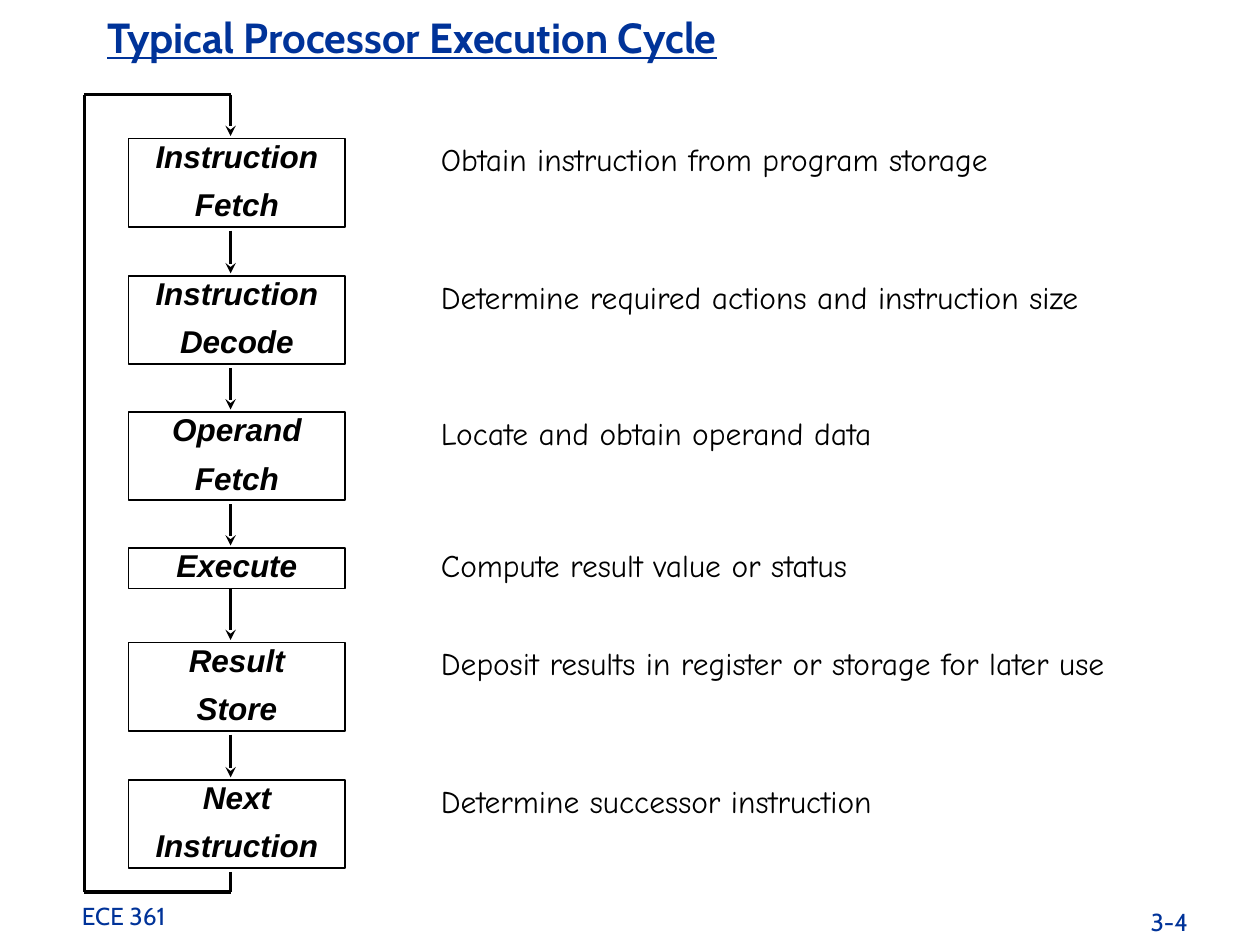
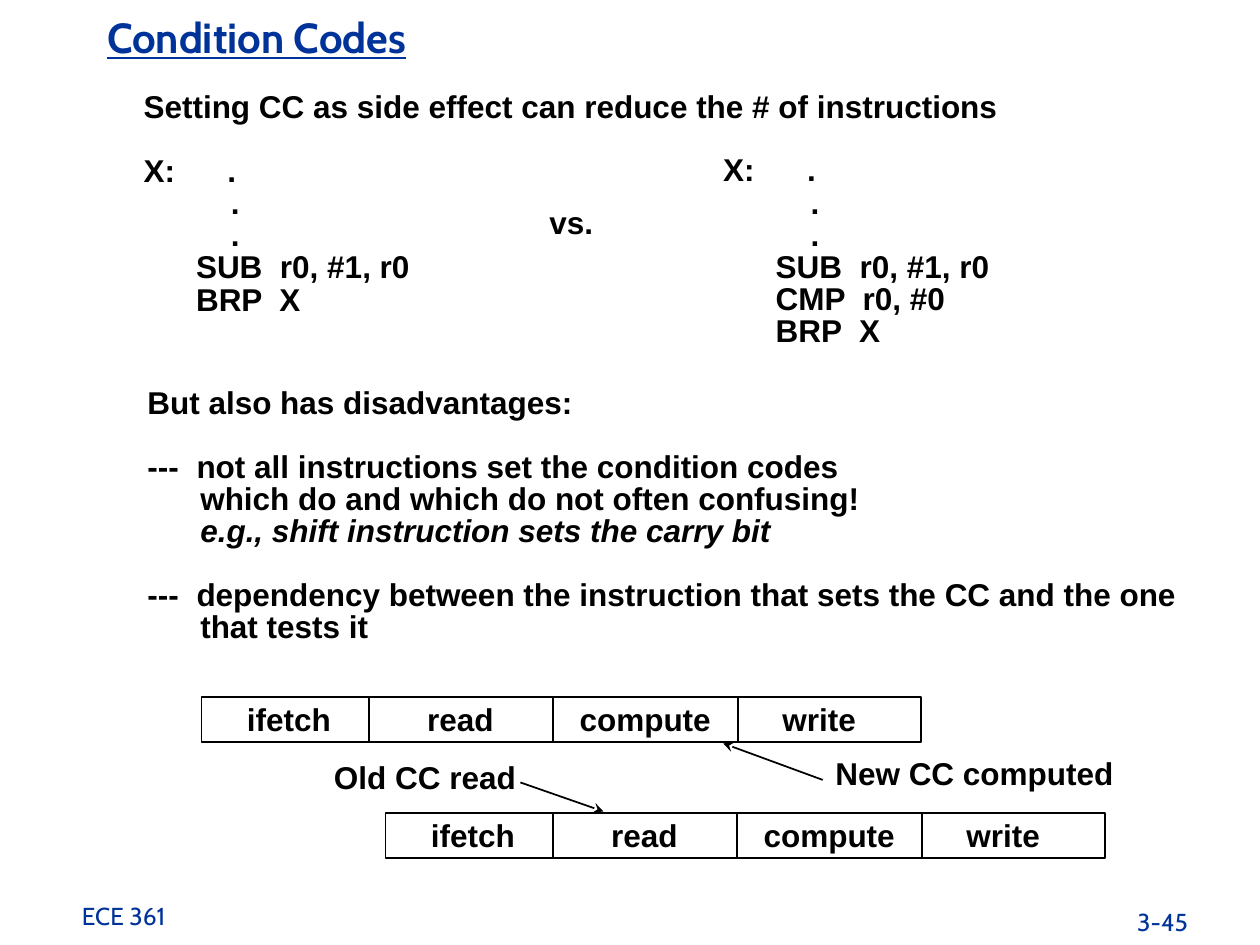
from itertools import pairwise

from lxml.etree import SubElement
from pptx import Presentation
from pptx.dml.color import RGBColor
from pptx.enum.shapes import MSO_CONNECTOR as Connector, MSO_SHAPE as Shape
from pptx.enum.text import MSO_ANCHOR as Anchor, MSO_AUTO_SIZE as AutoSize, PP_ALIGN as Align
from pptx.oxml.ns import qn
from pptx.util import Inches, Pt

BLUE = RGBColor(0x00, 0x33, 0x99)
BLACK = RGBColor(0x00, 0x00, 0x00)
TITLE_FONT, BODY_FONT, NOTE_FONT = "Cabin", "Arial", "Comic Neue"
COLUMNS, ROWS = 10, 7.5
LINE_GAP = Pt(18)


class Page:
    def __init__(self, deck, title, title_width, number):
        self.column = deck.slide_width / COLUMNS
        self.row = deck.slide_height / ROWS
        self.slide = deck.slides.add_slide(deck.slide_layouts[5])
        self.title(title, title_width)
        self.text(["ECE 361"], 0.58, 7.08, 2.67, 0.33, TITLE_FONT, 14, BLUE, spacing=1.18)
        self.text([number], 8.67, 7.13, 0.83, 0.37, TITLE_FONT, 14, BLUE,
                  spacing=1.18, align=Align.RIGHT)

    def x(self, columns):
        return round(columns * self.column)

    def y(self, rows):
        return round(rows * self.row)

    def area(self, left, top, width, height):
        return self.x(left), self.y(top), self.x(width), self.y(height)

    def set_lines(self, box, lines, font=BODY_FONT, size=18, color=BLACK, bold=False,
                  italic=False, underline=False, spacing=0.85, align=Align.LEFT, before=0):
        frame = box.text_frame
        frame.text = "\n".join(lines)
        frame.word_wrap = True
        frame.auto_size = AutoSize.NONE
        frame.vertical_anchor = Anchor.TOP
        frame.margin_left = frame.margin_right = self.x(0.07)
        frame.margin_top = frame.margin_bottom = self.y(0.03)
        for index, para in enumerate(frame.paragraphs):
            para.alignment = align
            para.line_spacing = spacing
            para.space_before = Pt(before if index else 0)
            for span in para.runs:
                span.font.name = font
                span.font.size = Pt(size)
                span.font.color.rgb = color
                span.font.bold = bold
                span.font.italic = italic
                span.font.underline = underline
        return frame.paragraphs

    def title(self, words, width):
        box = self.slide.shapes.title
        box.left, box.top, box.width, box.height = self.area(0.78, 0.12, width, 0.75)
        self.set_lines(box, [words], TITLE_FONT, 24, BLUE, bold=True, underline=True, spacing=0.87)

    def text(self, lines, left, top, width, height, *style, **options):
        box = self.slide.shapes.add_textbox(*self.area(left, top, width, height))
        return self.set_lines(box, lines, *style, **options)

    def label(self, lines, left, top, width, height=0.31):
        return self.text(lines, left, top, width, height, bold=True)

    def frame(self, left, top, width, height, lines=()):
        box = self.slide.shapes.add_shape(Shape.RECTANGLE, *self.area(left, top, width, height))
        box.shadow.inherit = False
        box.fill.background()
        box.line.color.rgb = BLACK
        box.line.width = Pt(1)
        if lines:
            self.set_lines(box, lines, bold=True, italic=True, spacing=0.86,
                           align=Align.CENTER, before=9)

    def line(self, start, end, width=1, arrow=False):
        connector = self.slide.shapes.add_connector(
            Connector.STRAIGHT, self.x(start[0]), self.y(start[1]), self.x(end[0]), self.y(end[1]))
        connector.line.color.rgb = BLACK
        connector.line.width = Pt(width)
        properties = connector._element.spPr
        if arrow:
            SubElement(properties.find(qn("a:ln")), qn("a:tailEnd"), type="stealth")
        SubElement(properties, qn("a:effectLst"))


def add_execution_cycle(deck):
    page = Page(deck, "Typical Processor Execution Cycle", 5.46, "3-4")
    steps = [
        (1.1, ["Instruction", "Fetch"], "Obtain instruction from program storage"),
        (2.19, ["Instruction", "Decode"], "Determine required actions and instruction size"),
        (3.27, ["Operand", "Fetch"], "Locate and obtain operand data"),
        (4.35, ["Execute"], "Compute result value or status"),
        (5.1, ["Result", "Store"], "Deposit results in register or storage for later use"),
        (6.19, ["Next", "Instruction"], "Determine successor instruction"),
    ]
    flow_x, loop_x, loop_top, loop_bottom = 1.83, 0.67, 0.75, 7.08
    exits = []
    for top, name, note in steps:
        single = len(name) == 1
        height = 0.32 if single else 0.7
        page.frame(1.02, top, 1.72, height, name)
        page.text([note], 3.43, top - 0.03 * single, 6.4, 0.35, NOTE_FONT, spacing=0.97)
        exits.append(top + height + (0 if single else 0.03))
    for bottom, (top, *_) in zip(exits, steps[1:]):
        page.line((flow_x, bottom), (flow_x, top - 0.02), 2, arrow=True)
    loop = [(flow_x, exits[-1]), (flow_x, loop_bottom), (loop_x, loop_bottom),
            (loop_x, loop_top), (flow_x, loop_top), (flow_x, steps[0][0] - 0.02)]
    for start, end in pairwise(loop):
        page.line(start, end, 2, arrow=end == loop[-1])


def add_pipeline(page, left, top):
    width, height = 5.71, 0.36
    stages = [("ifetch", 0.29, 0), ("read", 1.72, 1.33),
              ("compute", 2.93, 2.79), ("write", 4.54, 4.26)]
    page.frame(left, top, width, height)
    for name, label_offset, start in stages:
        if start:
            page.line((left + start, top), (left + start, top + height))
        page.label([name], left + label_offset, top + 0.04, 1.25)


def add_condition_codes(deck):
    page = Page(deck, "Condition Codes", 2.8, "3-45")
    loop_start = ["X:      .", "          .", "          .", "      SUB  r0, #1, r0"]
    branch = "      BRP  X"
    heading = "Setting CC as side effect can reduce the # of instructions"
    paras = page.label([heading, *loop_start, branch], 1.07, 0.71, 7.2, 1.84)
    paras[1].space_before = LINE_GAP
    page.label([*loop_start, "      CMP  r0, #0", branch], 5.67, 1.21, 2.5, 1.59)
    page.label(["vs."], 4.29, 1.63, 0.6)

    paras = page.label([
        "But also has disadvantages:",
        "---\tnot all instructions set the condition codes",
        "which do and which do not often confusing!",
        "e.g., shift instruction sets the carry bit",
        "---\tdependency between the instruction that sets the CC and the one",
        "that tests it",
    ], 1.1, 3.06, 8.6, 2.1)
    for para in paras[1:]:
        bulleted = para.text.startswith("---")
        indent = Inches(0.39 if bulleted else 0.42)
        properties = para._p.get_or_add_pPr()
        properties.set("marL", str(indent))
        properties.set("indent", str(-indent if bulleted else 0))
        if bulleted:
            para.space_before = LINE_GAP
    paras[3].runs[0].font.italic = True

    add_pipeline(page, 1.6, 5.53)
    add_pipeline(page, 3.06, 6.45)
    page.line((6.53, 6.19), (5.74, 5.9), arrow=True)
    page.label(["New CC computed"], 6.56, 6, 2.6)
    page.label(["Old CC read"], 2.58, 6.03, 1.75)
    page.line((4.13, 6.21), (4.79, 6.44), arrow=True)


def main():
    deck = Presentation()
    deck.slide_width, deck.slide_height = Inches(10), Inches(7.5)
    add_execution_cycle(deck)
    add_condition_codes(deck)
    deck.save("out.pptx")


if __name__ == "__main__":
    main()
